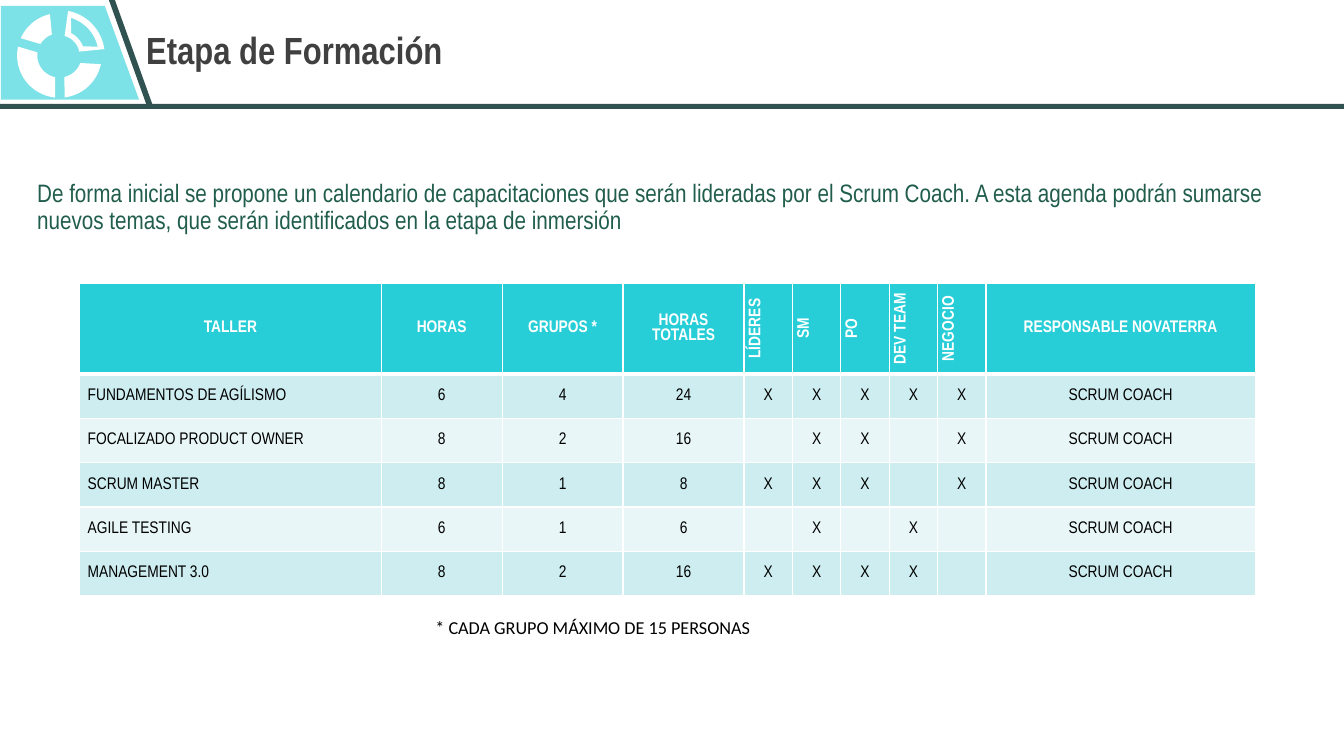
import math

import lxml.etree
import pptx
import pptx.dml.color
import pptx.enum.text
import pptx.oxml.ns
import pptx.util
from pptx.enum.shapes import MSO_SHAPE

Inches = pptx.util.Inches
RGBColor = pptx.dml.color.RGBColor
ALIGN = pptx.enum.text.PP_ALIGN
ANCHOR = pptx.enum.text.MSO_ANCHOR

WHITE = RGBColor(0xFF, 0xFF, 0xFF)
BLACK = RGBColor(0x00, 0x00, 0x00)
GRAY = RGBColor(0x40, 0x40, 0x40)
GREEN = RGBColor(0x21, 0x5D, 0x4C)
SLATE = RGBColor(0x30, 0x52, 0x50)
AQUA = RGBColor(0x7D, 0xE2, 0xE7)
TURQUOISE = RGBColor(0x27, 0xCE, 0xD7)
BANDS = (RGBColor(0xCD, 0xED, 0xF0), RGBColor(0xE8, 0xF6, 0xF8))

HEADERS = ["TALLER", "HORAS", "GRUPOS *", "HORAS TOTALES", "LÍDERES", "SM", "PO",
           "DEV TEAM", "NEGOCIO", "RESPONSABLE NOVATERRA"]
ROLES = range(4, 9)
COLUMN_WIDTHS = [2.99] + [1.2] * 3 + [0.48] * 5 + [2.67]
ROW_HEIGHTS = [0.9] + [0.44] * 5
WORKSHOPS = [
    ("FUNDAMENTOS DE AGÍLISMO", 6, 4, "XXXXX"),
    ("FOCALIZADO PRODUCT OWNER", 8, 2, " XX X"),
    ("SCRUM MASTER", 8, 1, "XXX X"),
    ("AGILE TESTING", 6, 1, " X X "),
    ("MANAGEMENT 3.0", 8, 2, "XXXX "),
]


def write(tf, text, size=12, color=BLACK, bold=False, font="Arial Narrow",
          align=ALIGN.LEFT, spacing=None):
    """Fill the first paragraph of a text frame with formatted text."""
    p = tf.paragraphs[0]
    p.alignment = align
    if spacing:
        p.line_spacing = spacing
    r = p.add_run()
    r.text = text
    r.font.size = pptx.util.Pt(size)
    r.font.name = font
    r.font.bold = bold
    r.font.color.rgb = color


def paint(sp, color):
    """Give a shape a flat fill without line or shadow."""
    sp.shadow.inherit = False
    sp.fill.solid()
    sp.fill.fore_color.rgb = color
    sp.line.fill.background()


def add_outline(s, contours, color):
    """Draw one filled freeform from closed contours given in inches."""
    paths = [[(Inches(x), Inches(y)) for x, y in points] for points in contours]
    builder = s.shapes.build_freeform(*paths[0][0])
    builder.add_line_segments(paths[0][1:])
    for points in paths[1:]:
        builder.move_to(*points[0])
        builder.add_line_segments(points[1:])
    paint(builder.convert_to_shape(), color)


def ring_sector(cx, cy, outer, inner):
    """Return a ring sector; each arc is radius, start and end in degrees."""
    points = []
    for radius, start, end in (outer, inner):
        for i in range(17):
            angle = math.radians(start + (end - start) * i / 16)
            points.append((cx + radius * math.cos(angle), cy + radius * math.sin(angle)))
    return points


def add_ring_icon(s, cx, cy):
    """Draw a ring of three solid sectors and one hollow sector."""
    solid = [((0.42, 12, 83), (0.22, 77, 20)),
             ((0.42, 96, 192), (0.22, 188, 101)),
             ((0.42, 204, 257), (0.22, 250, 211))]
    hollow = [((0.45, 281, 352), (0.2, 349, 285)),
              ((0.39, 287, 347), (0.25, 339, 298))]
    for arcs in solid:
        add_outline(s, [ring_sector(cx, cy, *arcs)], WHITE)
    add_outline(s, [ring_sector(cx, cy, *arcs) for arcs in hollow], WHITE)


def add_header(s, text, width, height):
    """Draw the header emblem and rule, and place the title beside them."""
    add_outline(s, [[(0.01, 0.06), (1.04, 0.06), (1.38, 0.99), (0.01, 0.99)]], AQUA)
    rule = s.shapes.add_shape(MSO_SHAPE.RECTANGLE, 0, Inches(height),
                              Inches(width), Inches(0.05))
    paint(rule, SLATE)
    add_outline(s, [[(1.08, 0), (1.14, 0), (1.51, height), (1.45, height)]], SLATE)
    add_ring_icon(s, 0.59, 0.55)
    title = s.shapes.title
    title.left, title.top = Inches(1.27), 0
    title.width, title.height = Inches(9.27), Inches(height)
    tf = title.text_frame
    tf.auto_size = pptx.enum.text.MSO_AUTO_SIZE.NONE
    tf.vertical_anchor = ANCHOR.MIDDLE
    tf.margin_left = Inches(0.18)
    write(tf, text, size=27, color=GRAY, bold=True, spacing=0.9)


def add_text(s, text, left, top, width, height, wrap=True, **style):
    """Place a text box and write its text."""
    box = s.shapes.add_textbox(Inches(left), Inches(top), Inches(width), Inches(height))
    box.text_frame.word_wrap = wrap
    write(box.text_frame, text, **style)


def set_borders(cell, top, bottom):
    """Give a cell white borders with widths in points."""
    tc_pr = cell._tc.get_or_add_tcPr()
    for side, width in (("L", 1), ("R", 1), ("T", top), ("B", bottom)):
        ln = lxml.etree.SubElement(tc_pr, pptx.oxml.ns.qn(f"a:ln{side}"),
                                   w=str(pptx.util.Pt(width)))
        fill = lxml.etree.SubElement(ln, pptx.oxml.ns.qn("a:solidFill"))
        lxml.etree.SubElement(fill, pptx.oxml.ns.qn("a:srgbClr"), val=str(WHITE))


def format_cell(cell, text, row, col):
    """Format one table cell according to its row and column."""
    header = row == 0
    set_borders(cell, 3 if row == 1 else 1, 3 if header else 1)
    cell.fill.solid()
    cell.fill.fore_color.rgb = TURQUOISE if header else BANDS[(row - 1) % 2]
    cell.margin_left = cell.margin_right = Inches(0.08)
    cell.margin_top = cell.margin_bottom = Inches(0.04)
    if header and col in ROLES:
        cell._tc.get_or_add_tcPr().set("vert", "vert270")
    else:
        cell.vertical_anchor = ANCHOR.MIDDLE
    if text:
        write(cell.text_frame, text, color=WHITE if header else BLACK, bold=header,
              align=ALIGN.CENTER if header or col else ALIGN.LEFT)


def add_schedule(s, left, top):
    """Build the workshop table with its top left corner at the given place."""
    rows = [HEADERS]
    for name, hours, groups, marks in WORKSHOPS:
        rows.append([name, str(hours), str(groups), str(hours * groups),
                     *(mark.strip() for mark in marks), "SCRUM COACH"])
    table = s.shapes.add_table(len(rows), len(HEADERS), Inches(left), Inches(top),
                               Inches(sum(COLUMN_WIDTHS)), Inches(sum(ROW_HEIGHTS))).table
    table.horz_banding = False
    for column, width in zip(table.columns, COLUMN_WIDTHS):
        column.width = Inches(width)
    for row, height in zip(table.rows, ROW_HEIGHTS):
        row.height = Inches(height)
    for i, row in enumerate(rows):
        for j, text in enumerate(row):
            format_cell(table.cell(i, j), text, i, j)


def main():
    """Build the training stage slide and save it."""
    prs = pptx.Presentation()
    prs.slide_width, prs.slide_height = Inches(13.33), Inches(7.5)
    s = prs.slides.add_slide(prs.slide_layouts.get_by_name("Title Only"))
    add_header(s, "Etapa de Formación", 13.33, 1.03)
    add_text(s, "De forma inicial se propone un calendario de capacitaciones que serán "
             "lideradas por el Scrum Coach. A esta agenda podrán sumarse nuevos temas, "
             "que serán identificados en la etapa de inmersión",
             0.27, 1.74, 12.8, 0.74, size=18, color=GREEN, spacing=0.9)
    add_schedule(s, 0.79, 2.81)
    add_text(s, "* CADA GRUPO MÁXIMO DE 15 PERSONAS", 4.22, 6.06, 3.37, 0.32,
             wrap=False, size=13, font="Calibri")
    prs.save("out.pptx")


if __name__ == "__main__":
    main()
